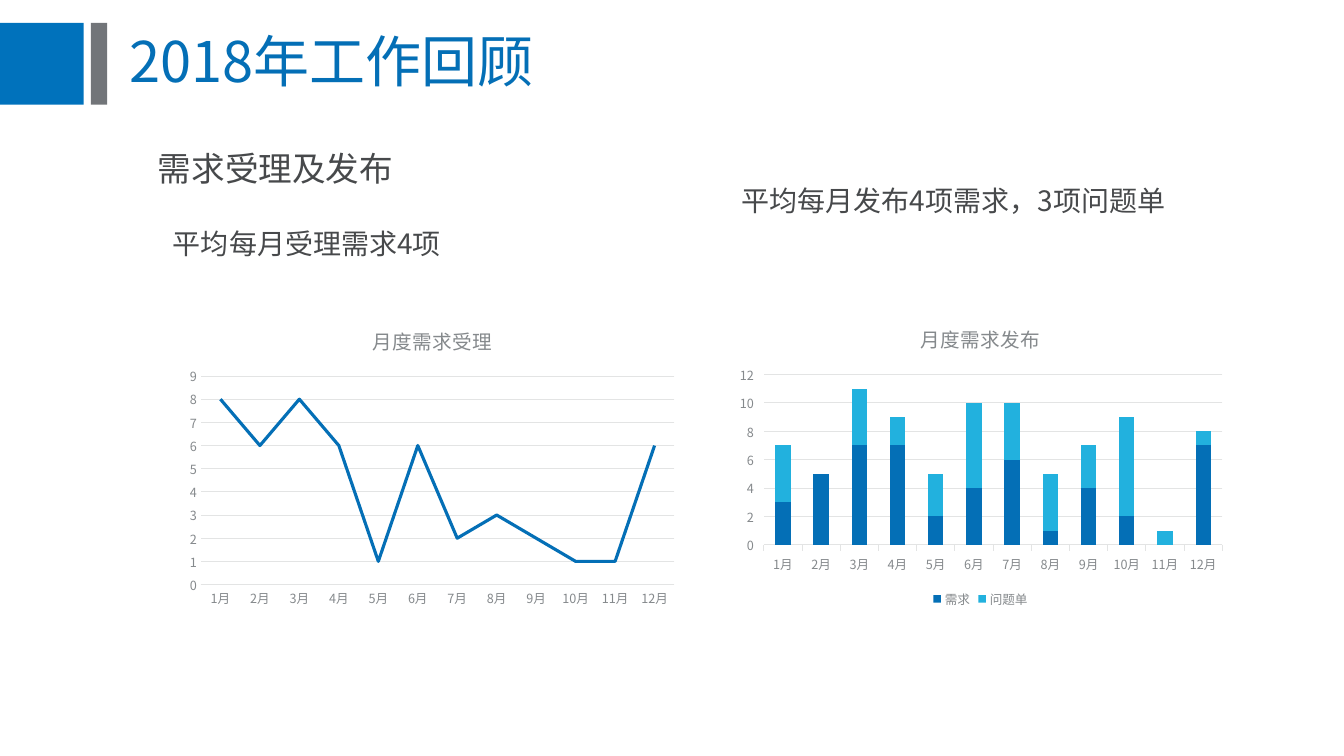
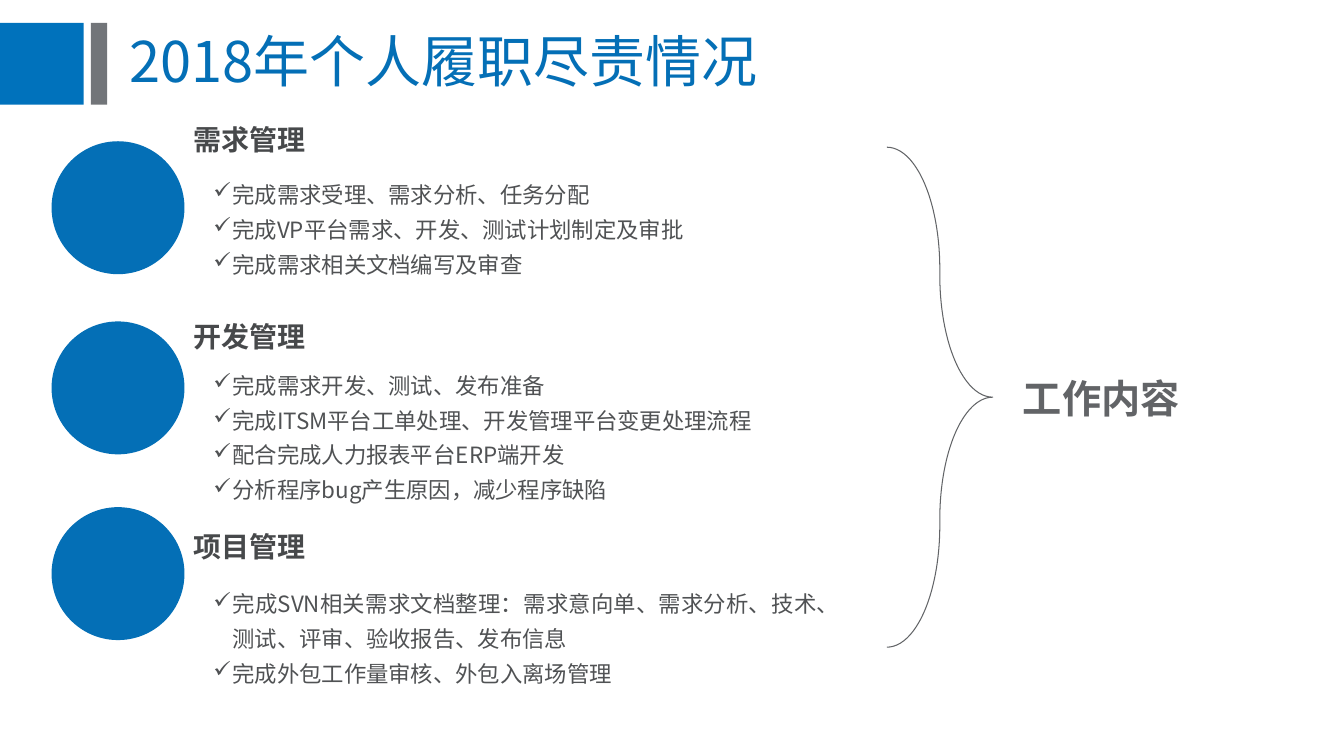
from lxml.etree import SubElement
from pptx import Presentation
from pptx.chart.data import CategoryChartData
from pptx.dml.color import RGBColor
from pptx.enum.chart import XL_CHART_TYPE, XL_LEGEND_POSITION, XL_TICK_MARK
from pptx.enum.shapes import MSO_SHAPE
from pptx.enum.text import MSO_ANCHOR, PP_ALIGN
from pptx.oxml import parse_xml
from pptx.oxml.ns import nsdecls, qn
from pptx.util import Cm, Pt

FONT = "Noto Sans CJK SC"
COLORS = {
    "band": "0072BC", "bar": "727579", "blue": "046FB6", "cyan": "22B1DE",
    "dark": "47494B", "body": "505254", "gray": "626467",
    "label": "85898C", "grid": "E3E4E4",
}
MONTHS = [f"{n}月" for n in range(1, 13)]
# Heading, circle top, heading top, list top, list height, items
DUTIES = [
    ("需求管理", 3.56, 2.97, 4.24, 2.82, [
        "完成需求受理、需求分析、任务分配",
        "完成VP平台需求、开发、测试计划制定及审批",
        "完成需求相关文档编写及审查"]),
    ("开发管理", 8.1, 7.92, 9.04, 5.51, [
        "完成需求开发、测试、发布准备",
        "完成ITSM平台工单处理、开发管理平台变更处理流程",
        "配合完成人力报表平台ERP端开发",
        "分析程序bug产生原因，减少程序缺陷"]),
    ("项目管理", 12.78, 13.21, 14.55, 4.5, [
        "完成SVN相关需求文档整理：需求意向单、需求分析、技术、测试、评审、验收报告、发布信息",
        "完成外包工作量审核、外包入离场管理"]),
]


def rgb(key):
    return RGBColor.from_string(COLORS[key])


def set_font(font, size, color, name=FONT, bold=False):
    font.size, font.name, font.bold = Pt(size), name, bold
    font.color.rgb = rgb(color)


def style(para, size, color, name=FONT, bold=False):
    """Set the paragraph font, with the East Asian face as well."""
    set_font(para.font, size, color, name, bold)
    props = para._p.pPr.find(qn("a:defRPr"))
    SubElement(props, qn("a:ea")).set("typeface", FONT)


def add_text(slide, place, lines, size, color, name=FONT, bold=False, wrap=True):
    frame = slide.shapes.add_textbox(*map(Cm, place)).text_frame
    frame.word_wrap = wrap
    frame.text = "\n".join(lines)
    for para in frame.paragraphs:
        style(para, size, color, name, bold)
    return frame


def add_list(slide, place, items):
    frame = slide.shapes.add_textbox(*map(Cm, place)).text_frame
    frame.word_wrap = True
    frame.text = "\n".join(items)
    for para in frame.paragraphs:
        para.alignment = PP_ALIGN.JUSTIFY
        para.line_spacing = 1.3
        props = para._p.pPr
        props.set("marL", str(Cm(0.48)))
        props.set("indent", str(Cm(-0.48)))
        SubElement(props, qn("a:buChar")).set("char", "✓")
        style(para, 16, "body")


def add_solid(slide, kind, place, color):
    shape = slide.shapes.add_shape(kind, *map(Cm, place))
    shape.shadow.inherit = False
    shape.fill.solid()
    shape.fill.fore_color.rgb = rgb(color)
    shape.line.fill.background()


def add_brace(slide, place):
    brace = slide.shapes.add_shape(MSO_SHAPE.RIGHT_BRACE, *map(Cm, place))
    brace.shadow.inherit = False
    brace.adjustments[0] = 1.15
    brace.fill.background()
    brace.line.color.rgb = rgb("gray")
    brace.line.width = Pt(0.75)


def add_slide(deck, title):
    """Add a slide with the bands and title that all slides share."""
    slide = deck.slides.add_slide(deck.slide_layouts[6])
    add_solid(slide, MSO_SHAPE.RECTANGLE, (0, 0.58, 2.11, 2.06), "band")
    add_solid(slide, MSO_SHAPE.RECTANGLE, (2.29, 0.58, 0.41, 2.06), "bar")
    frame = add_text(slide, (3.02, 0.51, 30.84, 2.21), [title], 40, "blue")
    frame.vertical_anchor = MSO_ANCHOR.MIDDLE
    frame.paragraphs[0].line_spacing = 0.9
    return slide


def set_plot(chart, x, y, w, h):
    """Fix the inner plot area, as shares of the chart."""
    area = chart._chartSpace.chart.plotArea
    for old in area.findall(qn("c:layout")):
        area.remove(old)
    sizes = "".join(f'<c:{key} val="{val}"/>'
                    for key, val in zip("xywh", (x, y, w, h)))
    area.insert(0, parse_xml(
        f'<c:layout {nsdecls("c")}><c:manualLayout>'
        '<c:layoutTarget val="inner"/>'
        '<c:xMode val="edge"/><c:yMode val="edge"/>'
        f'{sizes}</c:manualLayout></c:layout>'))


def add_chart(slide, kind, place, title, series, top, step, tick, plot):
    data = CategoryChartData()
    data.categories = MONTHS
    for name, vals in series:
        data.add_series(name, vals)
    chart = slide.shapes.add_chart(kind, *map(Cm, place), data).chart
    set_font(chart.font, 10, "dark")
    chart.has_legend = False
    chart.has_title = True
    chart.chart_title.include_in_layout = False
    frame = chart.chart_title.text_frame
    frame.text = title
    style(frame.paragraphs[0], 14, "label")

    cats, vals = chart.category_axis, chart.value_axis
    for axis in (cats, vals):
        axis.major_tick_mark = tick
        axis.minor_tick_mark = XL_TICK_MARK.NONE
        set_font(axis.tick_labels.font, 9, "label")
    vals.minimum_scale, vals.maximum_scale, vals.major_unit = 0, top, step
    vals.has_major_gridlines = True
    vals.format.line.fill.background()
    for line in (cats.format.line, vals.major_gridlines.format.line):
        line.color.rgb = rgb("grid")
        line.width = Pt(0.75)
    chart.plots[0].vary_by_categories = False
    set_plot(chart, *plot)
    return chart


def add_review(deck):
    slide = add_slide(deck, "2018年工作回顾")
    left = add_text(slide, (3.73, 2.72, 15.14, 8.1),
                    ["需求受理及发布", "平均每月受理需求4项"], 24, "dark")
    left.margin_top = Cm(1.02)
    note = left.paragraphs[1]
    note.font.size = Pt(20)
    note.space_before = Pt(27)
    note._p.pPr.set("marL", str(Cm(0.38)))
    right = add_text(slide, (18.44, 2.74, 13.82, 10.13),
                     ["平均每月发布4项需求，3项问题单"], 20, "dark")
    right.margin_top = Cm(1.88)

    chart = add_chart(
        slide, XL_CHART_TYPE.LINE, (4.55, 7.8, 12.7, 7.62), "月度需求受理",
        [("Series 1", (8, 6, 8, 6, 1, 6, 2, 3, 2, 1, 1, 6))],
        9, 1, XL_TICK_MARK.NONE, (0.04, 0.22, 0.94, 0.69))
    trend = chart.plots[0].series[0]
    trend.smooth = False
    trend.format.line.color.rgb = rgb("blue")
    trend.format.line.width = Pt(2.25)

    chart = add_chart(
        slide, XL_CHART_TYPE.COLUMN_STACKED, (18.36, 7.75, 12.7, 7.67),
        "月度需求发布",
        [("需求", (3, 5, 7, 7, 2, 4, 6, 1, 4, 2, None, 7)),
         ("问题单", (4, None, 4, 2, 3, 6, 4, 4, 3, 7, 1, 1))],
        12, 2, XL_TICK_MARK.OUTSIDE, (0.07, 0.22, 0.91, 0.56))
    stack = chart.plots[0]
    stack.gap_width, stack.overlap = 150, 100
    for bars, color in zip(stack.series, ("blue", "cyan")):
        bars.format.fill.solid()
        bars.format.fill.fore_color.rgb = rgb(color)
    chart.has_legend = True
    chart.legend.position = XL_LEGEND_POSITION.BOTTOM
    chart.legend.include_in_layout = False
    set_font(chart.legend.font, 9, "label")


def add_duties(deck):
    slide = add_slide(deck, "2018年个人履职尽责情况")
    for head, dot, top, start, high, items in DUTIES:
        add_solid(slide, MSO_SHAPE.OVAL, (1.3, dot, 3.35, 3.35), "blue")
        add_text(slide, (4.62, top, 3.38, 1.12), [head], 20, "dark",
                 "Arial", True, False)
        add_list(slide, (5.13, start, 15.72, high), items)
    add_brace(slide, (22.35, 3.71, 2.67, 12.6))
    add_text(slide, (25.53, 9.3, 4.52, 1.45), ["工作内容"], 28, "gray",
             "Arial", True, False)


def main():
    deck = Presentation()
    deck.slide_width, deck.slide_height = Cm(33.87), Cm(19.05)
    add_review(deck)
    add_duties(deck)
    deck.save("out.pptx")


if __name__ == "__main__":
    main()
